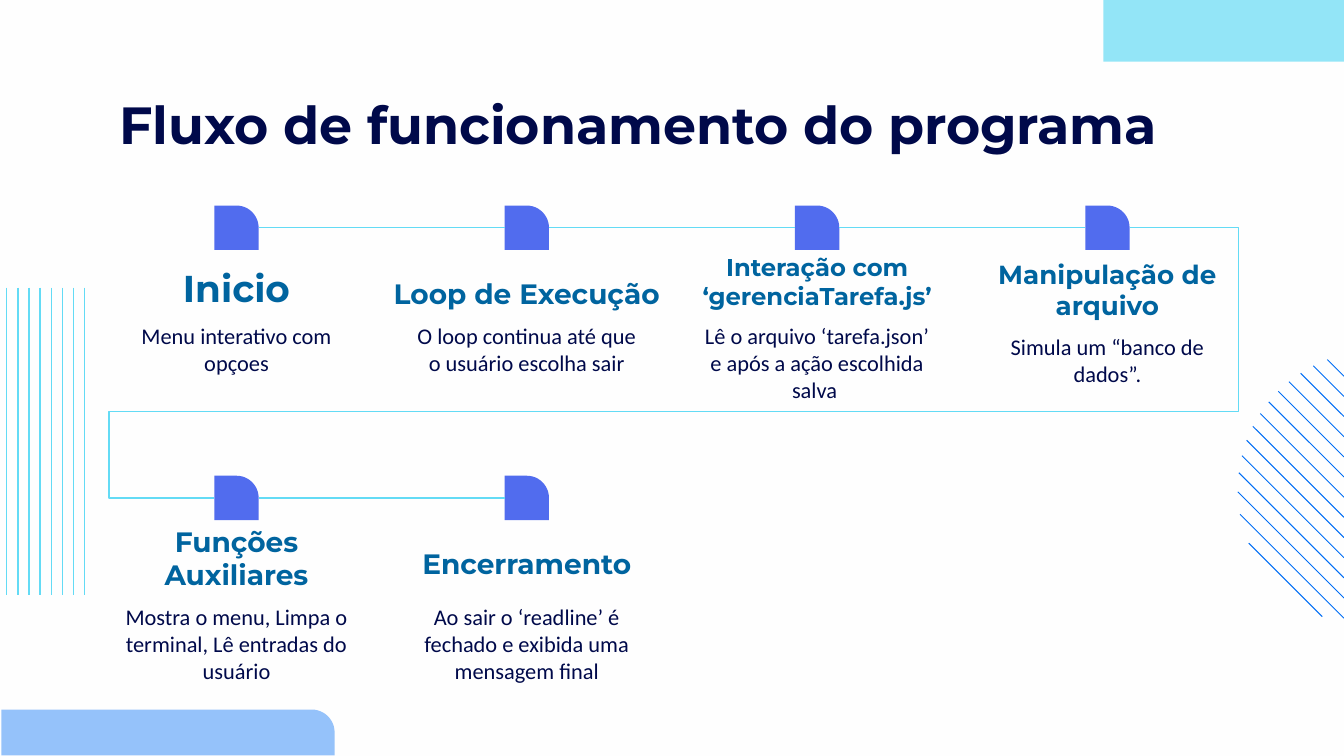
from dataclasses import dataclass
from itertools import pairwise
from math import sqrt

from lxml.etree import SubElement
from pptx import Presentation
from pptx.dml.color import RGBColor
from pptx.enum.shapes import MSO_CONNECTOR, MSO_SHAPE
from pptx.enum.text import MSO_ANCHOR, PP_ALIGN
from pptx.oxml.ns import qn
from pptx.shapes.autoshape import Shape
from pptx.shapes.connector import Connector
from pptx.slide import Slide
from pptx.util import Inches, Pt

NAVY = RGBColor(0x00, 0x09, 0x4A)
TEAL = RGBColor(0x00, 0x64, 0x9F)
INDIGO = RGBColor(0x51, 0x6C, 0xEE)
BLUE = RGBColor(0x00, 0x6D, 0xF5)
CYAN = RGBColor(0x63, 0xDB, 0xF5)
PAPER = RGBColor(0xFE, 0xFE, 0xFE)

COLUMN_LEFT, COLUMN_STEP, COLUMN_WIDTH = 0.79, 2.16, 1.94
MARKER_TOPS = (1.53, 3.54)
MARKER_SIZE = 0.33
TEXT_HEIGHT = 0.44
LEFT, RIGHT = 1, 3


@dataclass
class Step:
    heading: str
    detail: str
    row: int
    column: int
    heading_size: int
    heading_top: float
    detail_top: float
    heading_width: float = COLUMN_WIDTH


STEPS = [
    Step("Inicio", "Menu interativo com opçoes", 0, 0, 20, 1.97, 2.3),
    Step("Loop de Execução", "O loop continua até que o usuário escolha sair",
         0, 1, 15, 1.97, 2.3, 2.22),
    Step("Interação com ‘gerenciaTarefa.js’",
         "Lê o arquivo ‘tarefa.json’ e após a ação escolhida salva ",
         0, 2, 13, 1.97, 2.3),
    Step("Manipulação de arquivo", "Simula um “banco de dados”.",
         0, 3, 14, 2.05, 2.38),
    Step("Funções Auxiliares",
         "Mostra o menu, Limpa o terminal, Lê entradas do usuário",
         1, 0, 15, 4.06, 4.39),
    Step("Encerramento",
         "Ao sair o ‘readline’ é fechado e exibida uma mensagem final",
         1, 1, 15, 3.98, 4.39),
]


def add_text(slide: Slide, text: str, *, left: float, top: float, width: float,
             height: float = TEXT_HEIGHT, size: int = 12, font: str = "Calibri",
             color: RGBColor = NAVY, bold: bool = False,
             align: PP_ALIGN = PP_ALIGN.CENTER,
             anchor: MSO_ANCHOR = MSO_ANCHOR.TOP) -> None:
    """Place a wrapped text box with one formatted paragraph."""
    box = slide.shapes.add_textbox(Inches(left), Inches(top), Inches(width), Inches(height))
    frame = box.text_frame
    frame.word_wrap = True
    frame.vertical_anchor = anchor
    frame.margin_left = frame.margin_right = Inches(0.1)
    frame.margin_top = frame.margin_bottom = Inches(0.1)
    paragraph = frame.paragraphs[0]
    paragraph.alignment = align
    run = paragraph.add_run()
    run.text = text
    run.font.size = Pt(size)
    run.font.name = font
    run.font.bold = bold
    run.font.color.rgb = color


def add_block(slide: Slide, kind: MSO_SHAPE, left: float, top: float, width: float,
              height: float, color: RGBColor, opacity: int = 100) -> Shape:
    """Draw a borderless filled shape, with opacity in percent."""
    block = slide.shapes.add_shape(kind, Inches(left), Inches(top), Inches(width), Inches(height))
    block.shadow.inherit = False
    block.fill.solid()
    block.fill.fore_color.rgb = color
    block.line.fill.background()
    if kind == MSO_SHAPE.ROUND_1_RECTANGLE:
        block.adjustments[0] = 0.5
    if opacity < 100:
        srgb = block._element.spPr.find(f"{qn('a:solidFill')}/{qn('a:srgbClr')}")
        SubElement(srgb, qn("a:alpha"), val=str(opacity * 1000))
    return block


def add_line(slide: Slide, start: tuple[float, float], end: tuple[float, float],
             color: RGBColor = CYAN, weight: float = 0.75,
             kind: MSO_CONNECTOR = MSO_CONNECTOR.STRAIGHT) -> Connector:
    """Draw a shadowless connector between two points."""
    line = slide.shapes.add_connector(kind, *(Inches(value) for value in (*start, *end)))
    line.line.color.rgb = color
    line.line.width = Pt(weight)
    SubElement(line._element.spPr, qn("a:effectLst"))
    return line


def add_hatched_circle(slide: Slide) -> None:
    """Draw the diagonal chords of the circle on the right edge, cut at the slide."""
    center_x, center_y, radius, chord_step = 10.24, 3.64, 1.03, 0.15
    for index in range(-4, 10):
        shift = index * chord_step / 2
        half = sqrt(radius ** 2 / 2 - shift ** 2)
        start_x, start_y = center_x - shift - half, center_y + shift - half
        length = min(2 * half, 10 - start_x)
        add_line(slide, (start_x, start_y), (start_x + length, start_y + length), BLUE, 0.5)


def add_decoration(slide: Slide) -> None:
    """Draw the hatching and the corner blocks."""
    add_hatched_circle(slide)
    for index in range(8):
        x = 0.05 + index * 0.58 / 7
        add_line(slide, (x, 2.14), (x, 4.43))
    add_block(slide, MSO_SHAPE.ROUND_1_RECTANGLE, 0.01, 5.28, 2.48, 0.34, BLUE, 41)
    add_block(slide, MSO_SHAPE.RECTANGLE, 8.21, 0, 1.79, 0.46, CYAN, 69)


def add_step(slide: Slide, step: Step) -> Shape:
    """Draw the texts and the marker of a step and return the marker."""
    left = COLUMN_LEFT + step.column * COLUMN_STEP
    center = left + COLUMN_WIDTH / 2
    add_text(slide, step.detail, left=left, top=step.detail_top, width=COLUMN_WIDTH)
    add_text(slide, step.heading, left=center - step.heading_width / 2,
             top=step.heading_top, width=step.heading_width, size=step.heading_size,
             font="Montserrat", color=TEAL, bold=True, anchor=MSO_ANCHOR.BOTTOM)
    return add_block(slide, MSO_SHAPE.ROUND_1_RECTANGLE, center - MARKER_SIZE / 2,
                     MARKER_TOPS[step.row], MARKER_SIZE, MARKER_SIZE, INDIGO)


def join_markers(slide: Slide, source: Shape, target: Shape, same_row: bool) -> None:
    """Connect two markers, bending around the texts when the row changes."""
    kind = MSO_CONNECTOR.STRAIGHT if same_row else MSO_CONNECTOR.ELBOW
    link = add_line(slide, (0, 0), (1, 1), kind=kind)
    link.begin_connect(source, RIGHT)
    link.end_connect(target, LEFT)
    if not same_row:
        geometry = link._element.spPr.find(qn("a:prstGeom"))
        geometry.set("prst", "bentConnector5")
        guides = geometry.find(qn("a:avLst"))
        for number, value in enumerate((-11900, 68100, 111500), start=1):
            SubElement(guides, qn("a:gd"), name=f"adj{number}", fmla=f"val {value}")


def main() -> None:
    """Build the program flow slide."""
    presentation = Presentation()
    presentation.slide_width = Inches(10)
    presentation.slide_height = Inches(10 * 9 / 16)
    slide = presentation.slides.add_slide(presentation.slide_layouts[6])
    slide.background.fill.solid()
    slide.background.fill.fore_color.rgb = PAPER

    add_decoration(slide)
    add_text(slide, "Fluxo de funcionamento do programa", left=COLUMN_LEFT, top=0.59,
             width=8.42, height=0.63, size=28, font="Montserrat", bold=True,
             align=PP_ALIGN.LEFT)
    markers = [add_step(slide, step) for step in STEPS]
    for (step, marker), (next_step, next_marker) in pairwise(zip(STEPS, markers)):
        join_markers(slide, marker, next_marker, step.row == next_step.row)

    presentation.save("out.pptx")


if __name__ == "__main__":
    main()
